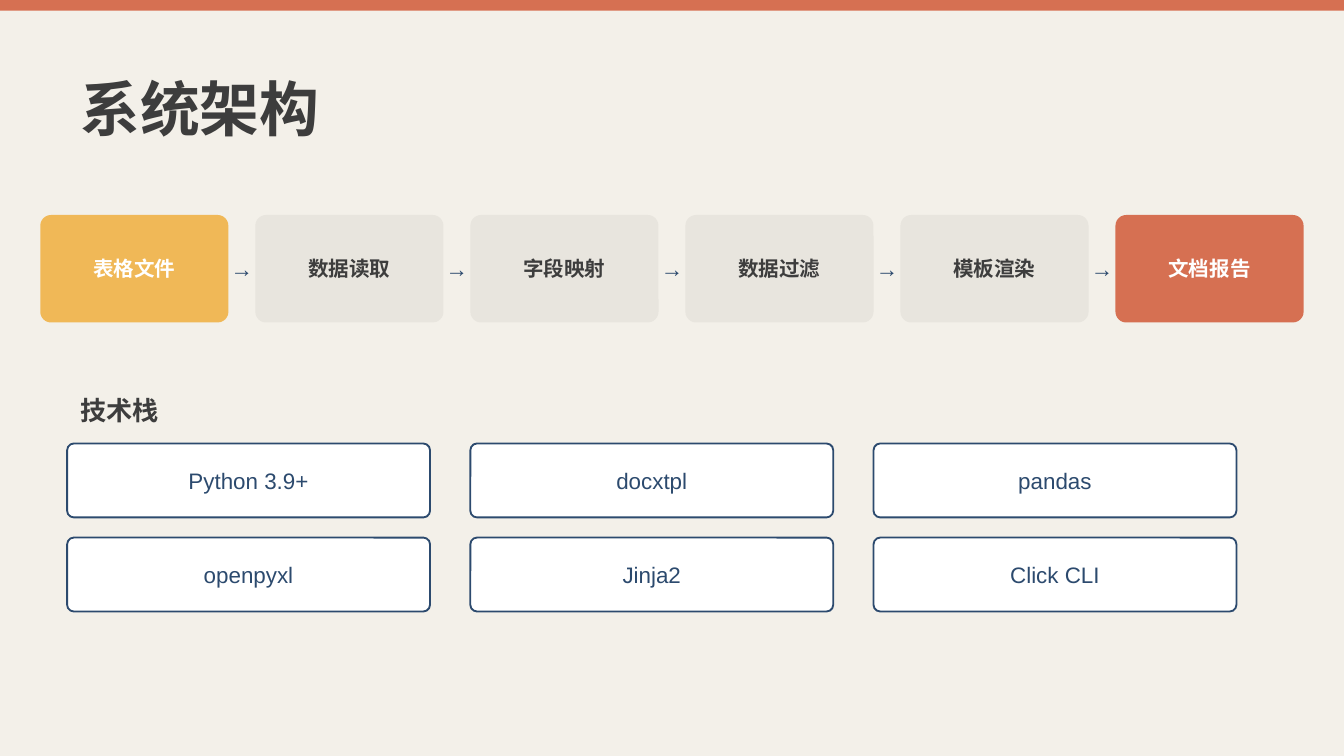
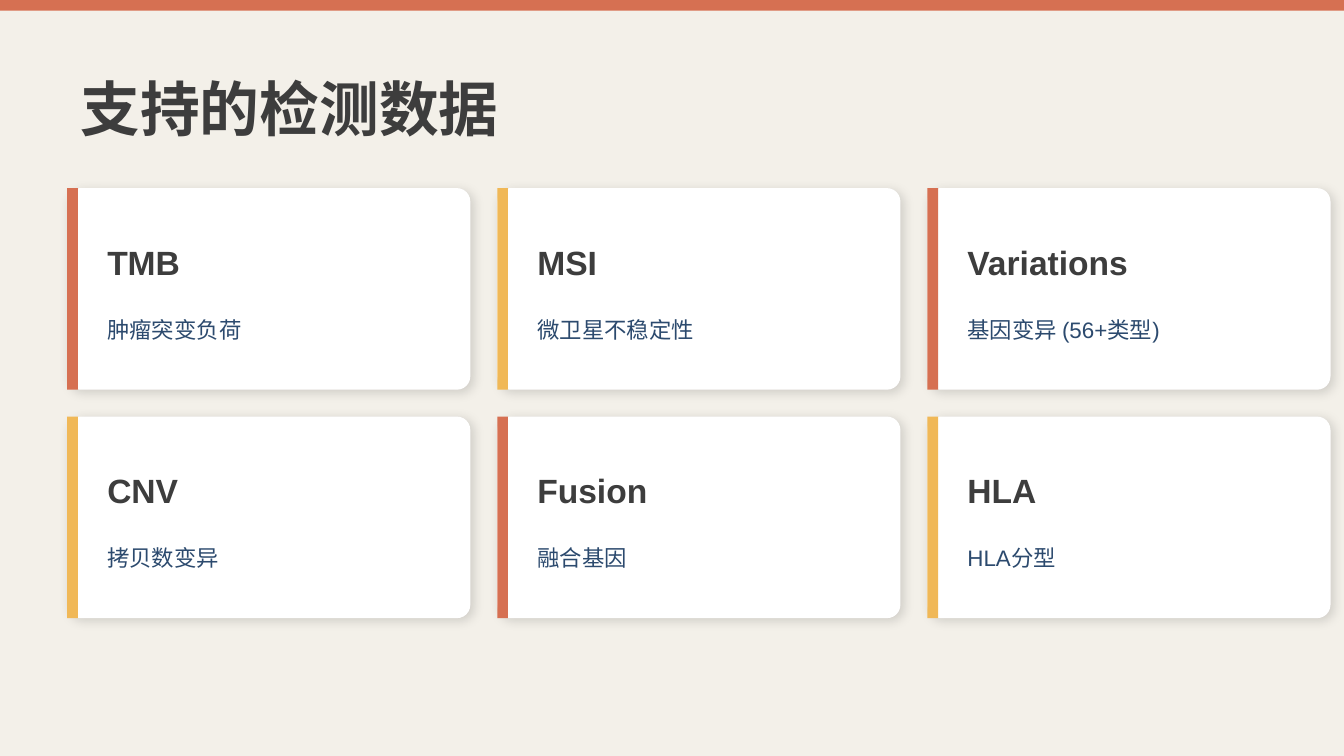
from dataclasses import dataclass
from typing import Optional

import lxml.etree
import pptx
import pptx.dml.color
import pptx.enum.shapes
import pptx.enum.text
import pptx.oxml.ns
import pptx.presentation
import pptx.shapes.autoshape
import pptx.slide
import pptx.text.text
import pptx.util

RGBColor = pptx.dml.color.RGBColor
Align = pptx.enum.text.PP_ALIGN
Preset = pptx.enum.shapes.MSO_SHAPE

PX = pptx.util.Inches(1) // 200
SLIDE_WIDTH, SLIDE_HEIGHT = 2000, 1125

CREAM = RGBColor(0xF3, 0xF0, 0xE9)
CORAL = RGBColor(0xD6, 0x70, 0x52)
AMBER = RGBColor(0xF0, 0xB8, 0x57)
STONE = RGBColor(0xE8, 0xE5, 0xDE)
CHARCOAL = RGBColor(0x3D, 0x3D, 0x3D)
NAVY = RGBColor(0x2C, 0x4A, 0x6E)
WHITE = RGBColor(0xFF, 0xFF, 0xFF)


@dataclass(frozen=True)
class Box:
    left: int
    top: int
    width: int
    height: int

    def emu(self) -> tuple[int, int, int, int]:
        return self.left * PX, self.top * PX, self.width * PX, self.height * PX


@dataclass(frozen=True)
class TextStyle:
    size: int
    color: RGBColor
    bold: bool = False
    align: Align = Align.LEFT
    font: str = "Arial"
    side_margin: int = 20


@dataclass(frozen=True)
class Step:
    label: str
    fill: RGBColor = STONE
    color: RGBColor = CHARCOAL


@dataclass(frozen=True)
class DataType:
    name: str
    description: str


TITLE = TextStyle(32, CHARCOAL, bold=True, font="Cambria")
ARROW = TextStyle(12, NAVY, align=Align.CENTER, side_margin=0)
STACK_HEADING = TextStyle(14, CHARCOAL, bold=True)
STACK_ITEM = TextStyle(12, NAVY, align=Align.CENTER)
CARD_NAME = TextStyle(18, CHARCOAL, bold=True)
CARD_DESCRIPTION = TextStyle(12, NAVY)

STEPS = [
    Step("表格文件", AMBER, WHITE),
    Step("数据读取"),
    Step("字段映射"),
    Step("数据过滤"),
    Step("模板渲染"),
    Step("文档报告", CORAL, WHITE),
]
STACK = ["Python 3.9+", "docxtpl", "pandas", "openpyxl", "Jinja2", "Click CLI"]
DATA_TYPES = [
    DataType("TMB", "肿瘤突变负荷"),
    DataType("MSI", "微卫星不稳定性"),
    DataType("Variations", "基因变异 (56+类型)"),
    DataType("CNV", "拷贝数变异"),
    DataType("Fusion", "融合基因"),
    DataType("HLA", "HLA分型"),
]


def write(frame: pptx.text.text.TextFrame, text: str, style: TextStyle) -> None:
    frame.word_wrap = True
    frame.vertical_anchor = pptx.enum.text.MSO_ANCHOR.MIDDLE
    frame.margin_left = frame.margin_right = style.side_margin * PX
    paragraph = frame.paragraphs[0]
    paragraph.text = text
    paragraph.alignment = style.align
    paragraph.font.name = style.font
    paragraph.font.size = pptx.util.Pt(style.size)
    paragraph.font.bold = style.bold
    paragraph.font.color.rgb = style.color


def add_text(slide: pptx.slide.Slide, box: Box, text: str, style: TextStyle) -> None:
    write(slide.shapes.add_textbox(*box.emu()).text_frame, text, style)


def add_panel(slide: pptx.slide.Slide, box: Box, fill: RGBColor, radius: int = 0,
              outline: Optional[RGBColor] = None) -> pptx.shapes.autoshape.Shape:
    preset = Preset.ROUNDED_RECTANGLE if radius else Preset.RECTANGLE
    panel = slide.shapes.add_shape(preset, *box.emu())
    if radius:
        panel.adjustments[0] = radius / min(box.width, box.height)
    panel.shadow.inherit = False
    panel.fill.solid()
    panel.fill.fore_color.rgb = fill
    if outline is None:
        panel.line.fill.background()
    else:
        panel.line.color.rgb = outline
        panel.line.width = pptx.util.Pt(1)
    return panel


def add_soft_shadow(panel: pptx.shapes.autoshape.Shape) -> None:
    qn = pptx.oxml.ns.qn
    effects = panel.element.spPr.find(qn("a:effectLst"))
    shadow = lxml.etree.SubElement(
        effects, qn("a:outerShdw"), blurRad=str(pptx.util.Pt(6)),
        dist=str(pptx.util.Pt(2)), dir=str(45 * 60000), algn="bl", rotWithShape="0")
    black = lxml.etree.SubElement(shadow, qn("a:srgbClr"), val="000000")
    lxml.etree.SubElement(black, qn("a:alpha"), val="15000")


def grid_box(index: int, first: Box, step_x: int, step_y: int) -> Box:
    row, column = divmod(index, 3)
    return Box(first.left + column * step_x, first.top + row * step_y,
               first.width, first.height)


def add_titled_slide(deck: pptx.presentation.Presentation, title: str) -> pptx.slide.Slide:
    slide = deck.slides.add_slide(deck.slide_layouts[6])
    slide.background.fill.solid()
    slide.background.fill.fore_color.rgb = CREAM
    add_panel(slide, Box(0, 0, SLIDE_WIDTH, 16), CORAL)
    add_text(slide, Box(100, 80, 1800, 160), title, TITLE)
    return slide


def add_architecture(deck: pptx.presentation.Presentation) -> None:
    slide = add_titled_slide(deck, "系统架构")
    for index, step in enumerate(STEPS):
        left = 60 + index * 320
        panel = add_panel(slide, Box(left, 320, 280, 160), step.fill, radius=16)
        write(panel.text_frame, step.label,
              TextStyle(11, step.color, bold=True, align=Align.CENTER))
        if index:
            add_text(slide, Box(left - 50, 330, 60, 140), "→", ARROW)

    add_text(slide, Box(100, 560, 400, 100), "技术栈", STACK_HEADING)
    for index, library in enumerate(STACK):
        box = grid_box(index, Box(100, 660, 540, 110), 600, 140)
        panel = add_panel(slide, box, WHITE, radius=10, outline=NAVY)
        write(panel.text_frame, library, STACK_ITEM)


def add_data_types(deck: pptx.presentation.Presentation) -> None:
    slide = add_titled_slide(deck, "支持的检测数据")
    for index, data_type in enumerate(DATA_TYPES):
        card = grid_box(index, Box(100, 280, 600, 300), 640, 340)
        add_soft_shadow(add_panel(slide, card, WHITE, radius=20))
        accent = AMBER if index % 2 else CORAL
        add_panel(slide, Box(card.left, card.top, 16, card.height), accent)
        add_text(slide, Box(card.left + 40, card.top + 60, 520, 100),
                 data_type.name, CARD_NAME)
        add_text(slide, Box(card.left + 40, card.top + 170, 520, 80),
                 data_type.description, CARD_DESCRIPTION)


def main() -> None:
    deck = pptx.Presentation()
    deck.slide_width = SLIDE_WIDTH * PX
    deck.slide_height = SLIDE_HEIGHT * PX
    add_architecture(deck)
    add_data_types(deck)
    deck.save("out.pptx")


if __name__ == "__main__":
    main()
